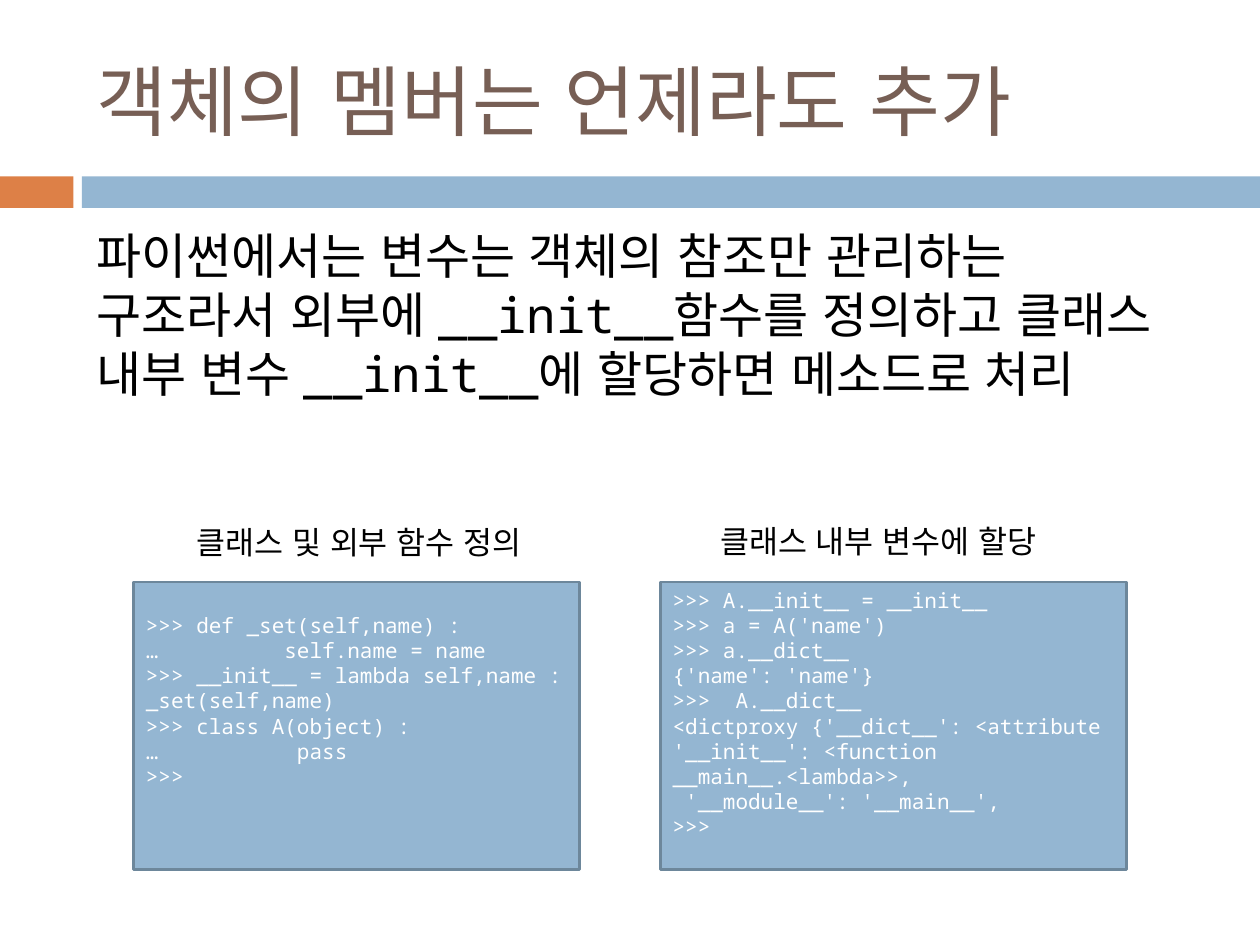
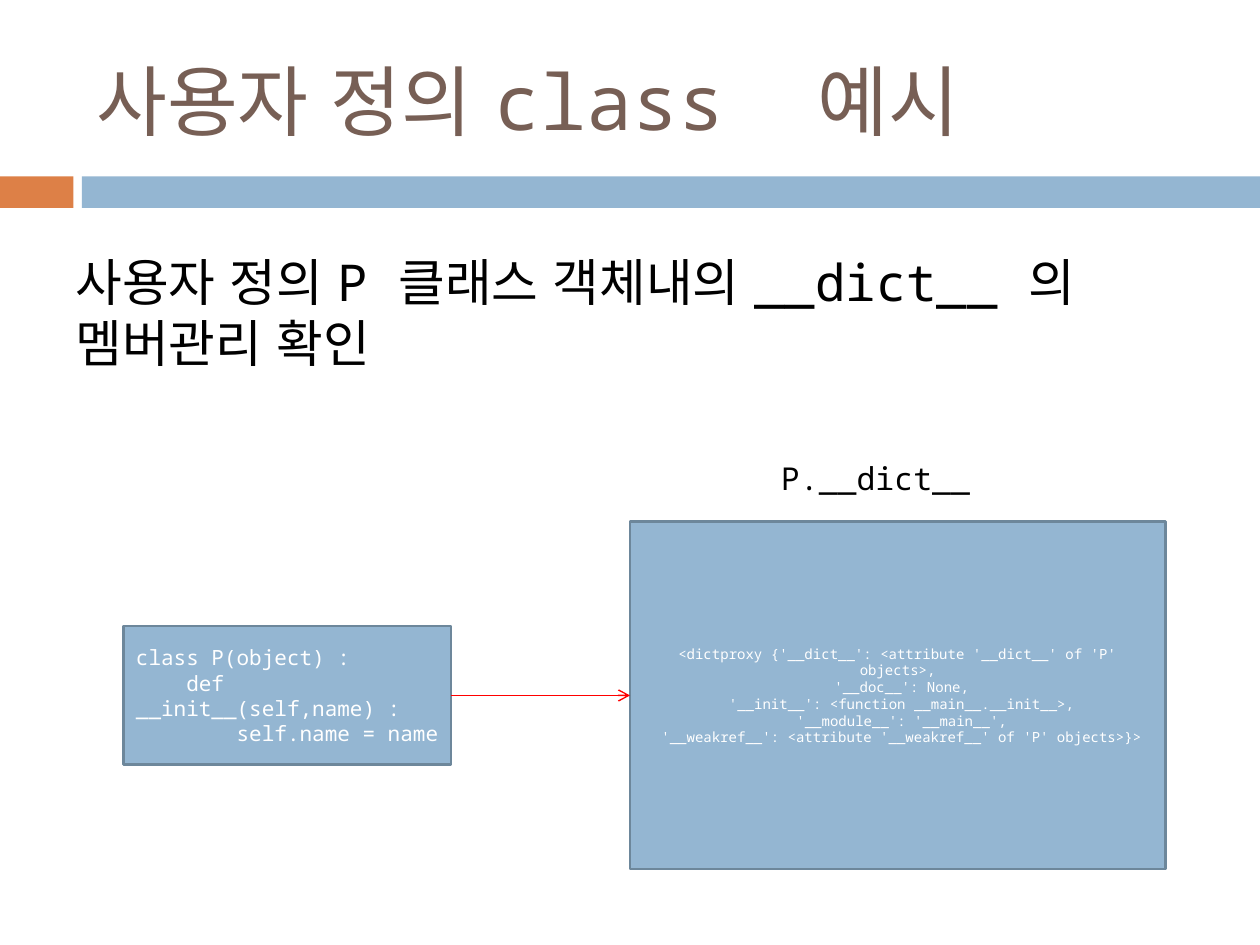
"""Build two slides on adding members to Python classes and inspecting __dict__."""
from lxml import etree
from pptx import Presentation
from pptx.dml.color import RGBColor
from pptx.enum import lang, shapes, text
from pptx.oxml import ns
from pptx.util import Pt

FONT = "Noto Sans Mono"
BROWN = RGBColor(0x77, 0x5F, 0x55)
ORANGE = RGBColor(0xDD, 0x80, 0x47)
BLUE = RGBColor(0x94, 0xB6, 0xD2)
BORDER = RGBColor(0x6D, 0x87, 0x9B)
RED = RGBColor(0xFF, 0x00, 0x00)
BLACK = RGBColor(0x00, 0x00, 0x00)
WHITE = RGBColor(0xFF, 0xFF, 0xFF)
LEFT, CENTER = text.PP_ALIGN.LEFT, text.PP_ALIGN.CENTER
TOP, MIDDLE = text.MSO_ANCHOR.TOP, text.MSO_ANCHOR.MIDDLE


def write(shape, lines, size, color, align=LEFT, anchor=TOP):
    frame = shape.text_frame
    frame.word_wrap = True
    frame.vertical_anchor = anchor
    for index, line in enumerate(lines):
        paragraph = frame.paragraphs[0] if index == 0 else frame.add_paragraph()
        paragraph.alignment = align
        run = paragraph.add_run()
        run.text = line
        run.font.name = FONT
        run.font.size = Pt(size)
        run.font.color.rgb = color
        run.font.language_id = lang.MSO_LANGUAGE_ID.KOREAN


def add_rectangle(slide, bounds, fill, border=None):
    shape = slide.shapes.add_shape(shapes.MSO_SHAPE.RECTANGLE, *map(Pt, bounds))
    shape.shadow.inherit = False
    shape.fill.solid()
    shape.fill.fore_color.rgb = fill
    if border is None:
        shape.line.fill.background()
    else:
        shape.line.color.rgb = border
        shape.line.width = Pt(1.5)
    return shape


DEFINITION_CODE = [
    ">>> def _set(self,name) :",
    "…          self.name = name",
    ">>> __init__ = lambda self,name : _set(self,name)",
    ">>> class A(object) :",
    "…           pass",
    ">>>",
]
ASSIGNMENT_CODE = [
    ">>> A.__init__ = __init__",
    ">>> a = A('name')",
    ">>> a.__dict__",
    "{'name': 'name'}",
    ">>>  A.__dict__",
    "<dictproxy {'__dict__': <attribute '__init__': <function __main__.<lambda>>,",
    " '__module__': '__main__',",
    ">>>",
]
CLASS_CODE = [
    "class P(object) :",
    "    def __init__(self,name) :",
    "        self.name = name",
]
DICT_CODE = [
    "<dictproxy {'__dict__': <attribute '__dict__' of 'P' objects>,",
    " '__doc__': None,",
    " '__init__': <function __main__.__init__>,",
    " '__module__': '__main__',",
    " '__weakref__': <attribute '__weakref__' of 'P' objects>}>",
]

SLIDES = [
    {
        "title": "객체의 멤버는 언제라도 추가",
        "body": ("파이썬에서는 변수는 객체의 참조만 관리하는 구조라서 외부에 __init__함수를 "
                 "정의하고 클래스 내부 변수 __init__에 할당하면 메소드로 처리",
                 (48, 125.3, 629.3, 108.7), 28),
        "labels": [("클래스 및 외부 함수 정의", (80.6, 295.2, 249.1, 28.8), CENTER),
                   ("클래스 내부 변수에 할당", (377.3, 294.5, 249.1, 28.8), CENTER)],
        "code": [(DEFINITION_CODE, (76.3, 332.6, 254.9, 164.2), 12, LEFT, 32.4),
                 (ASSIGNMENT_CODE, (377.3, 332.6, 266.4, 164.2), 12, LEFT, 18)],
        "arrow": False,
    },
    {
        "title": "사용자 정의 class  예시",
        "body": ("사용자 정의 P 클래스 객체내의 __dict__ 의 멤버관리 확인",
                 (36, 139.7, 648, 73.4), 29),
        "labels": [("P.__dict__", (439.2, 258.5, 175.7, 28.8), LEFT)],
        "code": [(CLASS_CODE, (70.6, 357.8, 187.2, 79.2), 12, LEFT, 3.6),
                 (DICT_CODE, (360, 298.1, 306, 198.6), 8, CENTER, 3.6)],
        "arrow": True,
    },
]

presentation = Presentation()
presentation.slide_width = Pt(720)
presentation.slide_height = Pt(540)

for content in SLIDES:
    slide = presentation.slides.add_slide(presentation.slide_layouts[6])
    add_rectangle(slide, (0, 100.8, 42, 18), ORANGE)
    add_rectangle(slide, (46.8, 100.8, 673.2, 18), BLUE)

    title = slide.shapes.add_textbox(Pt(48), Pt(18), Pt(642), Pt(78))
    write(title, [content["title"]], 44, BROWN, anchor=MIDDLE)

    sentence, bounds, size = content["body"]
    body = slide.shapes.add_textbox(*map(Pt, bounds))
    write(body, [sentence], size, BLACK)

    code_boxes = []
    for lines, bounds, size, align, bottom_margin in content["code"]:
        code_box = add_rectangle(slide, bounds, BLUE, BORDER)
        code_box.text_frame.margin_bottom = Pt(bottom_margin)
        write(code_box, lines, size, WHITE, align, MIDDLE)
        code_boxes.append(code_box)

    for caption, bounds, align in content["labels"]:
        label = slide.shapes.add_textbox(*map(Pt, bounds))
        write(label, [caption], 18, BLACK, align)

    if content["arrow"]:
        class_box, dict_box = code_boxes
        arrow = slide.shapes.add_connector(shapes.MSO_CONNECTOR.STRAIGHT, 0, 0, 0, 0)
        arrow.begin_connect(class_box, 3)
        arrow.end_connect(dict_box, 1)
        arrow.line.color.rgb = RED
        arrow.line.width = Pt(0.79)
        etree.SubElement(arrow.line._get_or_add_ln(), ns.qn("a:tailEnd"), type="arrow")
        etree.SubElement(arrow._element.spPr, ns.qn("a:effectLst"))

presentation.save("out.pptx")
